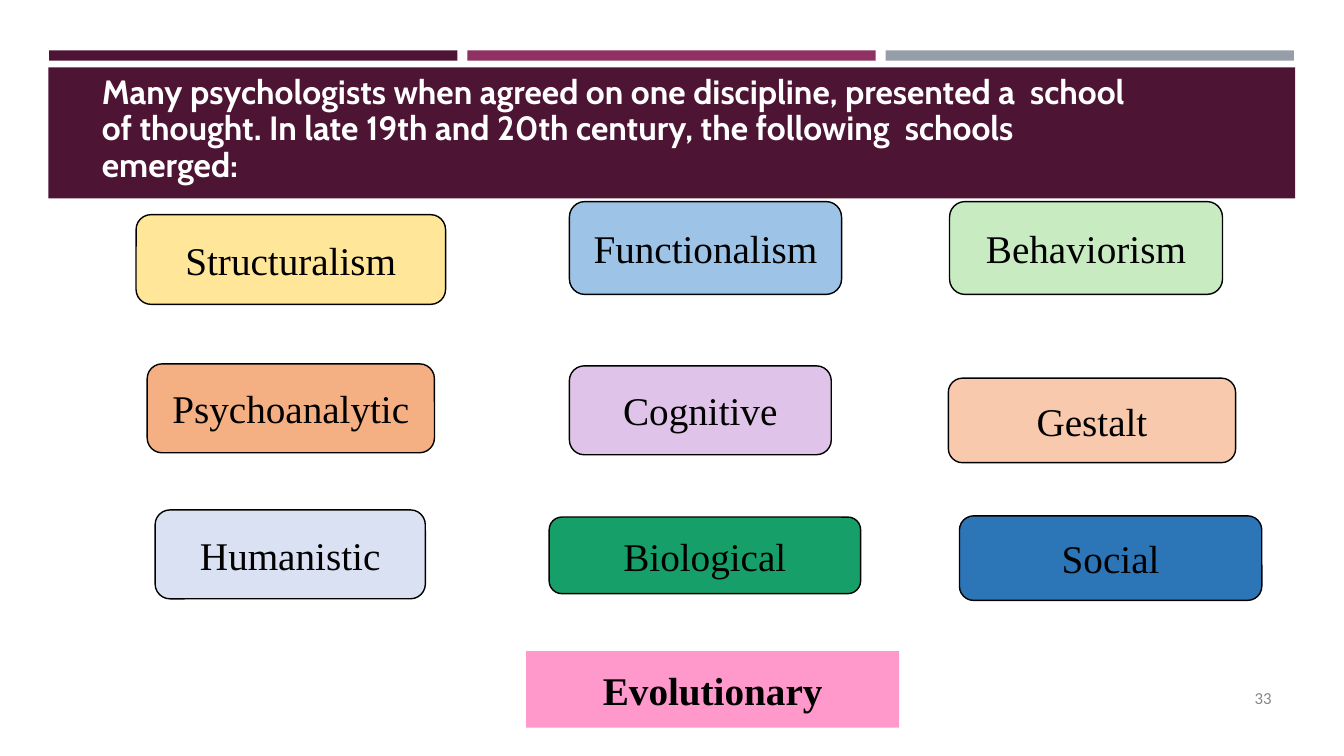
from pptx import Presentation
from pptx.dml.color import RGBColor
from pptx.enum import shapes, text
from pptx.util import Cm, Pt

PLUM = RGBColor(0x4D, 0x14, 0x34)
MAGENTA = RGBColor(0x90, 0x31, 0x63)
GREY = RGBColor(0x96, 0x9F, 0xA7)
NUMBER_GREY = RGBColor(0x87, 0x87, 0x87)
WHITE = RGBColor(0xFF, 0xFF, 0xFF)
BLACK = RGBColor(0, 0, 0)
YELLOW = RGBColor(0xFF, 0xE6, 0x99)
SKY = RGBColor(0x9D, 0xC3, 0xE6)
MINT = RGBColor(0xC8, 0xEB, 0xC1)
ORANGE = RGBColor(0xF4, 0xAF, 0x83)
LILAC = RGBColor(0xDF, 0xC3, 0xE9)
PEACH = RGBColor(0xF8, 0xC9, 0xAC)
PALE_BLUE = RGBColor(0xDA, 0xE1, 0xF3)
GREEN = RGBColor(0x17, 0x9F, 0x69)
BLUE = RGBColor(0x2C, 0x75, 0xB6)
PINK = RGBColor(0xFF, 0x99, 0xCC)

TITLE = ("Many psychologists when agreed on one discipline, presented a  school "
         "of thought. In late 19th and 20th century, the following  schools emerged:")

SCHOOLS = [
    ("Structuralism", YELLOW, (3.43, 5.41, 7.8, 2.26)),
    ("Functionalism", SKY, (14.35, 5.08, 6.86, 2.34)),
    ("Behaviorism", MINT, (23.93, 5.08, 6.88, 2.34)),
    ("Psychoanalytic", ORANGE, (3.71, 9.17, 7.24, 2.24)),
    ("Cognitive", LILAC, (14.35, 9.22, 6.6, 2.24)),
    ("Gestalt", PEACH, (23.9, 9.53, 7.24, 2.13)),
    ("Humanistic", PALE_BLUE, (3.91, 12.85, 6.81, 2.24)),
    ("Biological", GREEN, (13.84, 13.03, 7.85, 1.93)),
    ("Social", BLUE, (24.18, 13, 7.62, 2.13)),
]


def write_text(shape, content, font="Times New Roman", size=28, color=BLACK, bold=False,
               align=text.PP_ALIGN.CENTER, anchor=text.MSO_ANCHOR.MIDDLE,
               line_spacing=None, space_before=0, top_inset=0):
    frame = shape.text_frame
    frame.word_wrap = True
    frame.vertical_anchor = anchor
    frame.margin_left = frame.margin_right = frame.margin_bottom = 0
    frame.margin_top = Cm(top_inset)
    paragraph = frame.paragraphs[0]
    paragraph.alignment = align
    paragraph.space_before = Pt(space_before)
    if line_spacing:
        paragraph.line_spacing = Pt(line_spacing)
    run = paragraph.add_run()
    run.text = content
    run.font.name = font
    run.font.size = Pt(size)
    run.font.bold = bold
    run.font.color.rgb = color


def add_box(slide, bounds, fill, rounded=False):
    kind = shapes.MSO_SHAPE.ROUNDED_RECTANGLE if rounded else shapes.MSO_SHAPE.RECTANGLE
    shape = slide.shapes.add_shape(kind, *map(Cm, bounds))
    shape.shadow.inherit = False
    shape.fill.solid()
    shape.fill.fore_color.rgb = fill
    if rounded:
        shape.line.color.rgb = BLACK
        shape.line.width = Pt(1)
    else:
        shape.line.fill.background()
    return shape


def add_label(slide, bounds, content, **text_format):
    write_text(slide.shapes.add_textbox(*map(Cm, bounds)), content, **text_format)


def add_header(slide):
    for column, color in enumerate((PLUM, MAGENTA, GREY)):
        add_box(slide, (1.24 + 10.54 * column, 1.27, 10.29, 0.26), color)
    add_box(slide, (1.22, 1.7, 31.42, 3.3), PLUM)
    add_label(slide, (2.57, 1.73, 26.21, 2.92), TITLE, font="Cabin", size=24, color=WHITE,
              bold=True, align=text.PP_ALIGN.LEFT, anchor=text.MSO_ANCHOR.TOP,
              line_spacing=26, space_before=4.2, top_inset=0.15)


def main():
    presentation = Presentation()
    presentation.slide_width = Cm(33.87)
    presentation.slide_height = Cm(19.05)
    slide = presentation.slides.add_slide(presentation.slide_layouts[6])
    add_header(slide)
    for name, color, bounds in SCHOOLS:
        write_text(add_box(slide, bounds, color, rounded=True), name)
    write_text(add_box(slide, (13.26, 16.41, 9.4, 1.93), PINK), "Evolutionary", bold=True)
    add_label(slide, (31.62, 17.3, 0.8, 0.58), "33", font="Calibri", size=12,
              color=NUMBER_GREY, align=text.PP_ALIGN.LEFT)
    presentation.save("out.pptx")


if __name__ == "__main__":
    main()
